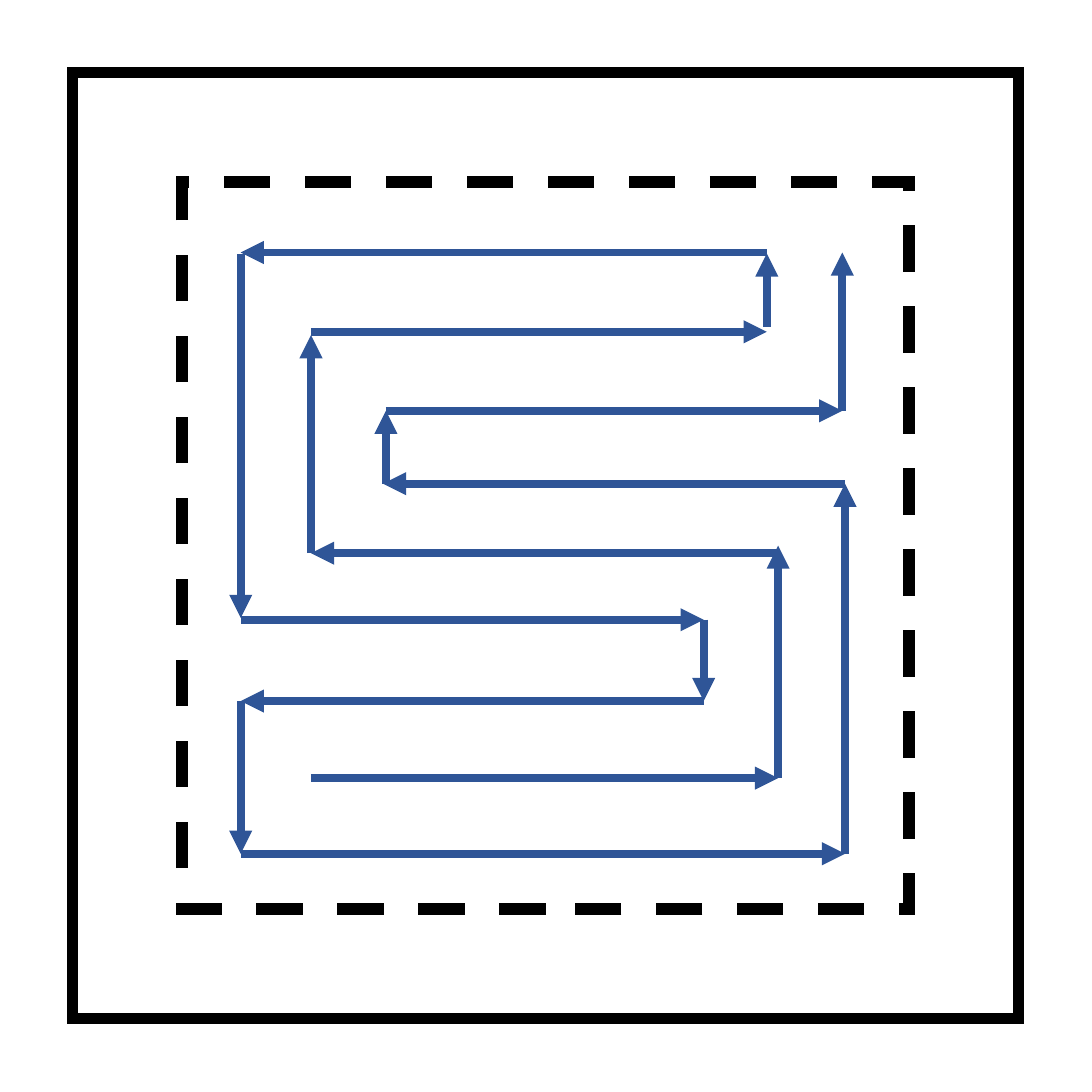
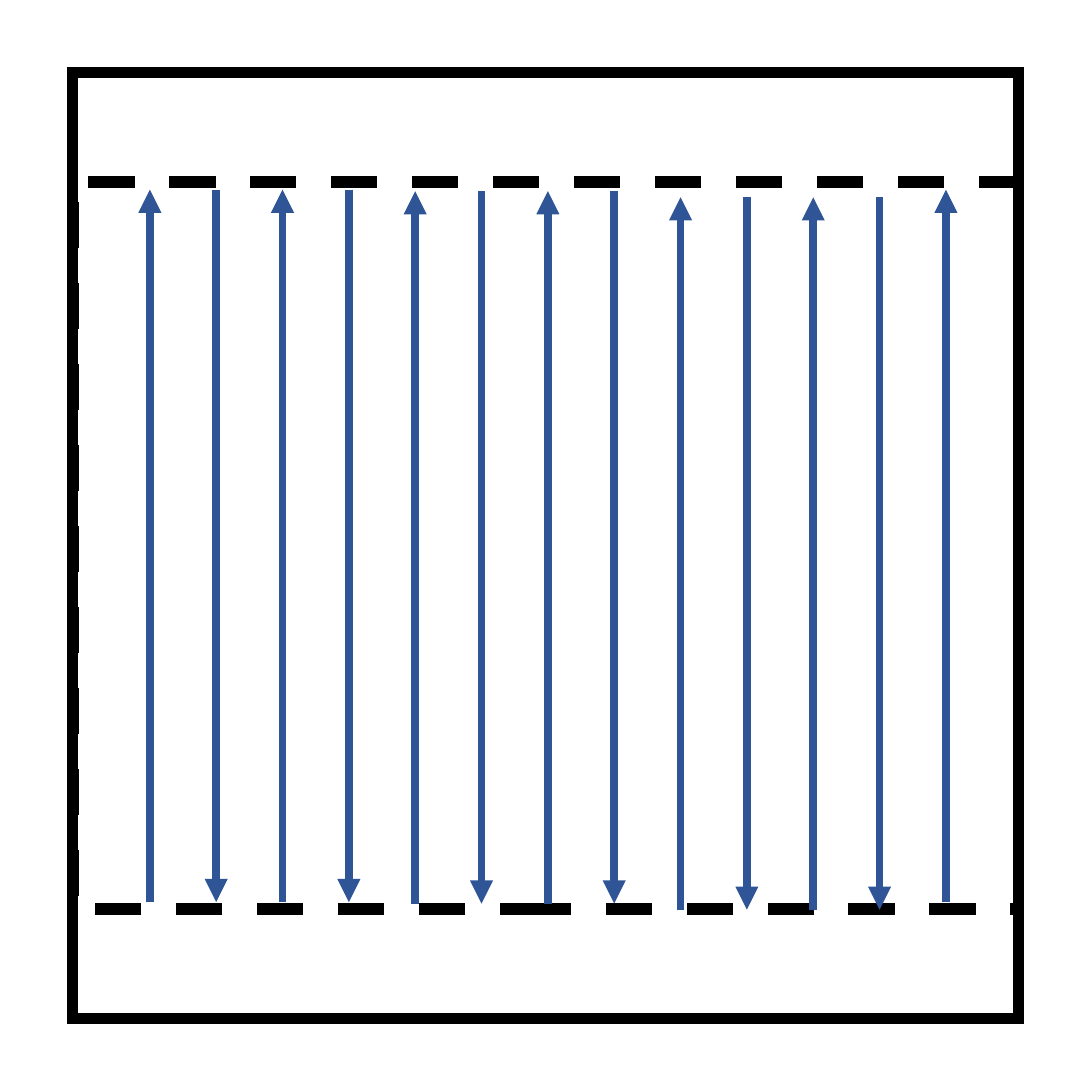
from pptx import Presentation
from pptx.dml.color import RGBColor
from pptx.enum.dml import MSO_LINE as Dash
from pptx.enum.shapes import MSO_CONNECTOR as Connector, MSO_SHAPE as Shape
from pptx.oxml.ns import qn
from pptx.util import Pt
from lxml.etree import SubElement

BLACK, BLUE = "000000", "2F5597"
SIDE = 425.5
MARGIN, FRAME_SIDE = 28.35, 368.5
AREA_TOP, AREA_HEIGHT = 70.87, 283.46


def add_outline(page, left, top, width, height, dash=None):
    """Add an unfilled rectangle with a thick black border and sharp corners."""
    box = page.shapes.add_shape(Shape.RECTANGLE, Pt(left), Pt(top), Pt(width), Pt(height))
    box.shadow.inherit = False
    box.fill.background()
    box.line.color.rgb = RGBColor.from_string(BLACK)
    box.line.width = Pt(4.5)
    box.line.dash_style = dash
    SubElement(box.element.spPr.find(qn("a:ln")), qn("a:miter"), lim="800000")


def add_arrow(page, x1, y1, x2, y2):
    arrow = page.shapes.add_connector(Connector.STRAIGHT, Pt(x1), Pt(y1), Pt(x2), Pt(y2))
    arrow.line.color.rgb = RGBColor.from_string(BLUE)
    arrow.line.width = Pt(3)
    properties = arrow.element.spPr
    line = properties.find(qn("a:ln"))
    SubElement(line, qn("a:miter"), lim="800000")
    SubElement(line, qn("a:tailEnd"), type="triangle")
    SubElement(properties, qn("a:effectLst"))


deck = Presentation()
deck.slide_width = deck.slide_height = Pt(SIDE)

# Winding route inside a square area
winding_route = [
    (121.2, 303.2, 303.2, 303.2),
    (303.2, 303.2, 303.2, 212.6),
    (303.2, 215.6, 121.2, 215.6),
    (121.2, 215.6, 121.2, 130.6),
    (121.2, 129.3, 298.8, 129.3),
    (298.8, 127.4, 298.8, 98.8),
    (298.8, 98.4, 93.8, 98.4),
    (93.8, 98.8, 93.8, 240.8),
    (93.8, 241.5, 274.2, 241.5),
    (274.2, 241.5, 274.2, 273.2),
    (274.2, 273.2, 93.8, 273.2),
    (93.8, 273.2, 93.8, 332.7),
    (93.8, 332.7, 329.3, 332.7),
    (329.3, 332.7, 329.3, 188.5),
    (329.3, 188.5, 149.3, 188.5),
    (150.4, 188.5, 150.4, 160.1),
    (150.4, 160.1, 328.2, 160.1),
    (328.2, 160.1, 328.2, 98.4),
]

# Parallel lanes, alternately up and down; each group of four shares its top
FIRST_LANE, LANE_STEP, LANE_LENGTH, LANE_COUNT = 58.4, 25.85, 277.6, 13
group_tops = [73.9, 74.5, 76.9, 73.9]
lanes = []
for index in range(LANE_COUNT):
    x = FIRST_LANE + index * LANE_STEP
    top = group_tops[index // 4]
    bottom = top + LANE_LENGTH
    lanes.append((x, bottom, x, top) if index % 2 == 0 else (x, top, x, bottom))

for area_left, area_width, route in [
    (AREA_TOP, AREA_HEIGHT, winding_route),
    (28.7, 368.2, lanes),
]:
    page = deck.slides.add_slide(deck.slide_layouts[6])
    add_outline(page, MARGIN, MARGIN, FRAME_SIDE, FRAME_SIDE)
    add_outline(page, area_left, AREA_TOP, area_width, AREA_HEIGHT, Dash.DASH)
    for ends in route:
        add_arrow(page, *ends)

deck.save("out.pptx")
